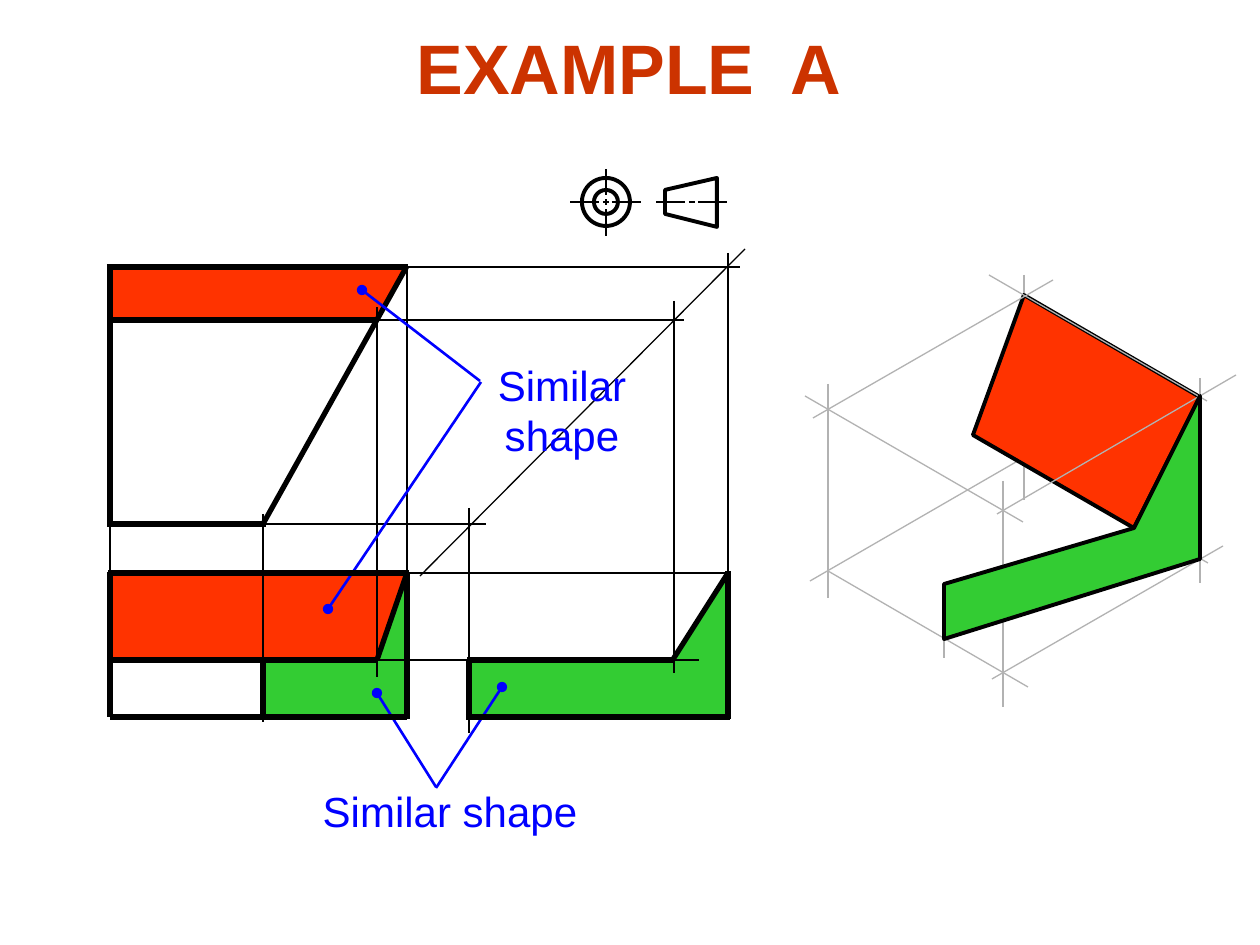
import lxml.etree
import pptx
import pptx.dml.color
import pptx.enum.shapes
import pptx.enum.text
import pptx.oxml.ns
import pptx.util

PX = pptx.util.Inches(1) / 126
BLACK = pptx.dml.color.RGBColor(0x00, 0x00, 0x00)
GREY = pptx.dml.color.RGBColor(0xB2, 0xB2, 0xB2)
RED = pptx.dml.color.RGBColor(0xFF, 0x33, 0x00)
GREEN = pptx.dml.color.RGBColor(0x33, 0xCC, 0x33)
BLUE = pptx.dml.color.RGBColor(0x00, 0x00, 0xFF)
TITLE_RED = pptx.dml.color.RGBColor(0xCC, 0x33, 0x00)

deck = pptx.Presentation()
deck.slide_width = pptx.util.Inches(10)
deck.slide_height = pptx.util.Inches(7.5)
slide = deck.slides.add_slide(deck.slide_layouts[6])


def draw_lines(segments, color, width, dot=False):
    for segment in segments:
        ends = [round(value * PX) for value in segment]
        line = slide.shapes.add_connector(
            pptx.enum.shapes.MSO_CONNECTOR.STRAIGHT, *ends)
        line.line.color.rgb = color
        line.line.width = pptx.util.Pt(width)
        if dot:
            lxml.etree.SubElement(line.line._get_or_add_ln(),
                                  pptx.oxml.ns.qn("a:tailEnd"), type="oval")
        lxml.etree.SubElement(line._element.spPr, pptx.oxml.ns.qn("a:effectLst"))


def draw_face(points, fill=None, outlined=False):
    outline = slide.shapes.build_freeform(*points[0], scale=PX)
    outline.add_line_segments(points[1:], close=True)
    face = outline.convert_to_shape()
    face.shadow.inherit = False
    if fill is None:
        face.fill.background()
    else:
        face.fill.solid()
        face.fill.fore_color.rgb = fill
    if outlined:
        face.line.color.rgb = BLACK
        face.line.width = pptx.util.Pt(2.25)
    else:
        face.line.fill.background()


left, notch, fold, right = 110, 263, 377, 407
side_left, side_fold, side_right = 469, 674, 728
plan_top, plan_fold, plan_bottom = 267, 320, 524
front_top, front_fold, front_bottom = 573, 660, 717

draw_lines([(left, 310, left, 679)], BLACK, 0.75)
draw_lines([
    (1042, 447, 810, 581),
    (1024, 275, 1024, 500),
    (1208, 563, 1007, 447),
], GREY, 0.75)

draw_face([(1134, 528), (973, 435), (1024, 295), (1200, 397)], RED, True)
draw_face([(left, plan_fold), (left, plan_top),
           (right, plan_top), (fold, plan_fold)], RED)
draw_face([(side_left, front_bottom), (side_left, front_fold),
           (side_fold, front_fold), (side_right, front_top),
           (side_right, front_bottom)], GREEN)
draw_face([(notch, front_bottom), (notch, front_fold), (fold, front_fold),
           (right, front_top), (right, front_bottom)], GREEN)
draw_face([(left, front_fold), (left, front_top),
           (right, front_top), (fold, front_fold)], RED)

draw_lines([
    (left - 3, plan_top, right + 1, plan_top),
    (left, plan_top - 1, left, plan_bottom + 3),
    (left + 2, plan_bottom, notch + 3, plan_bottom),
    (right, plan_top - 1, notch, plan_bottom),
    (left, plan_fold, fold + 1, plan_fold),
], BLACK, 3)

draw_lines([
    (notch, 514, notch, 722),
    (fold, 307, fold, 677),
    (right, 265, right, 576),
    (365, front_fold, 699, front_fold),
    (420, 576, 745, 249),
    (255, plan_bottom, 486, plan_bottom),
    (side_left, 508, side_left, 733),
    (right, plan_top, 740, plan_top),
    (side_right, 253, side_right, 583),
    (358, plan_fold, 684, plan_fold),
    (side_fold, 301, side_fold, 673),
], BLACK, 0.75)

draw_lines([
    (1053, 280, 813, 418),
    (989, 275, 1207, 401),
    (1200, 378, 1200, 583),
    (1223, 546, 992, 679),
    (1028, 687, 828, 571),
    (828, 384, 828, 598),
    (944, 658, 944, 612),
], GREY, 0.75)

draw_lines([
    (436, 787, 377, 693),
    (436, 788, 502, 687),
    (480, 381, 362, 290),
    (481, 382, 328, 609),
], BLUE, 1.5, dot=True)

draw_lines([(right, front_top, side_right, front_top)], BLACK, 0.75)
draw_lines([
    (side_left - 3, front_bottom, side_right + 2, front_bottom),
    (side_right, front_bottom + 2, side_right, front_top - 2),
    (side_right, front_top, side_fold - 2, front_fold + 1),
    (side_left, front_fold - 1, side_left, front_bottom),
    (side_fold, front_fold, side_left - 2, front_fold),
    (left, front_bottom, notch, front_bottom),
    (notch, front_bottom, right, front_bottom),
    (right, front_bottom + 2, right, front_top + 1),
    (right, front_top, fold, front_fold),
    (right + 2, front_top, left - 2, front_top),
    (fold, front_fold, left - 2, front_fold),
    (left, front_top - 1, left, front_bottom),
    (notch, front_fold - 1, notch, front_bottom),
], BLACK, 3)

draw_lines([
    (1236, 375, 997, 514),
    (805, 396, 1023, 522),
    (1003, 481, 1003, 707),
], GREY, 0.75)

circle_x, cone_x, symbol_y = 606, 692, 202
rings = slide.shapes.add_shape(
    pptx.enum.shapes.MSO_SHAPE.DONUT,
    *[round(value * PX) for value in (circle_x - 24, symbol_y - 24, 48, 48)])
rings.adjustments[0] = 0.25
rings.shadow.inherit = False
rings.fill.background()
rings.line.color.rgb = BLACK
rings.line.width = pptx.util.Pt(2.25)
draw_face([(717, 178), (717, 227), (665, 214), (665, 190)], outlined=True)
for center in (circle_x, cone_x):
    draw_lines([(center + start, symbol_y, center + end, symbol_y)
                for start, end in ((-3, 3), (6, 35), (-7, -36))], BLACK, 1)
draw_lines([(circle_x, symbol_y + start, circle_x, symbol_y + end)
            for start, end in ((3, -3), (-7, -33), (34, 7))], BLACK, 1)

for box, wording, size, color, bold in (
    ((310, 779, 280, 63), ["Similar shape"], 24, BLUE, False),
    ((485, 353, 154, 113), ["Similar", "shape"], 24, BLUE, False),
    ((403, 18, 452, 97), ["EXAMPLE  A"], 40, TITLE_RED, True),
):
    label = slide.shapes.add_textbox(*[round(value * PX) for value in box])
    frame = label.text_frame
    frame.word_wrap = False
    frame.auto_size = pptx.enum.text.MSO_AUTO_SIZE.SHAPE_TO_FIT_TEXT
    frame.text = "\n".join(wording)
    for paragraph in frame.paragraphs:
        paragraph.alignment = pptx.enum.text.PP_ALIGN.CENTER
        paragraph.font.name = "Arial"
        paragraph.font.size = pptx.util.Pt(size)
        paragraph.font.bold = bold
        paragraph.font.color.rgb = color

draw_face([(944, 584), (944, 639), (1200, 559), (1200, 396), (1134, 528)],
          GREEN, True)

deck.save("out.pptx")
